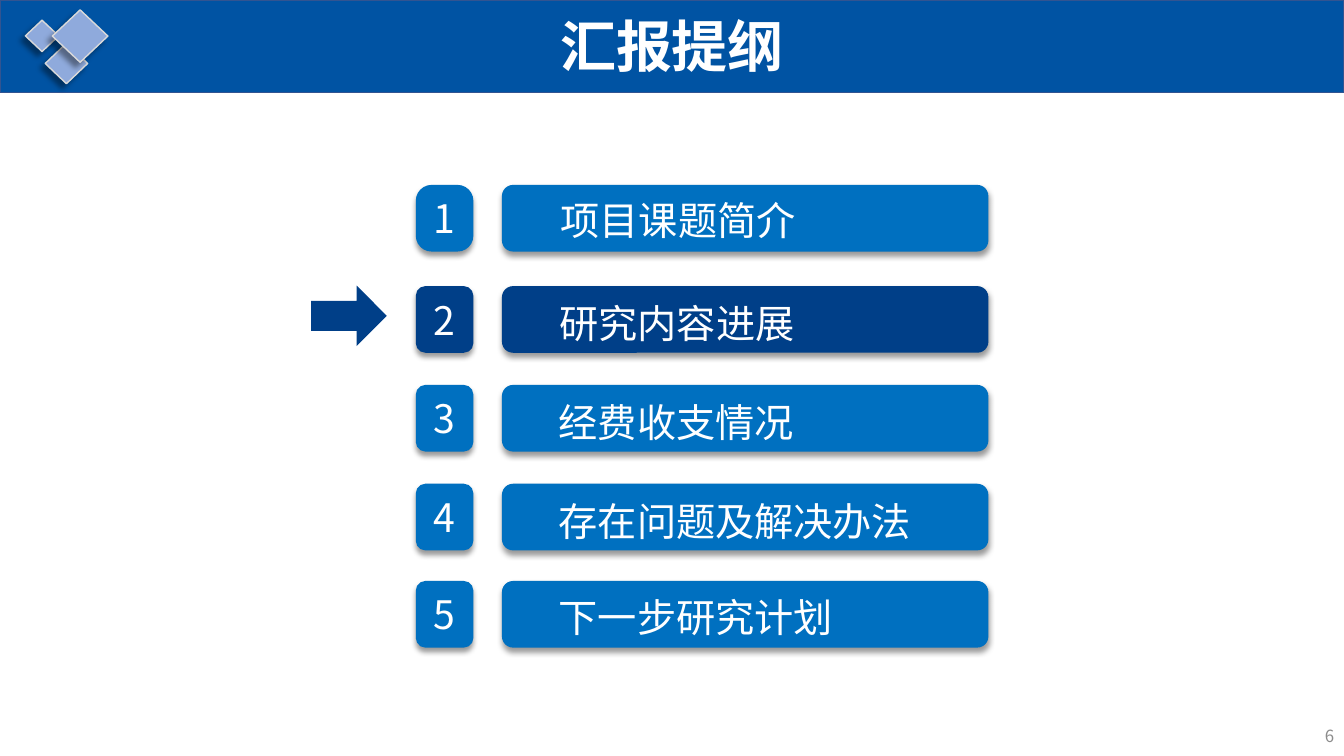
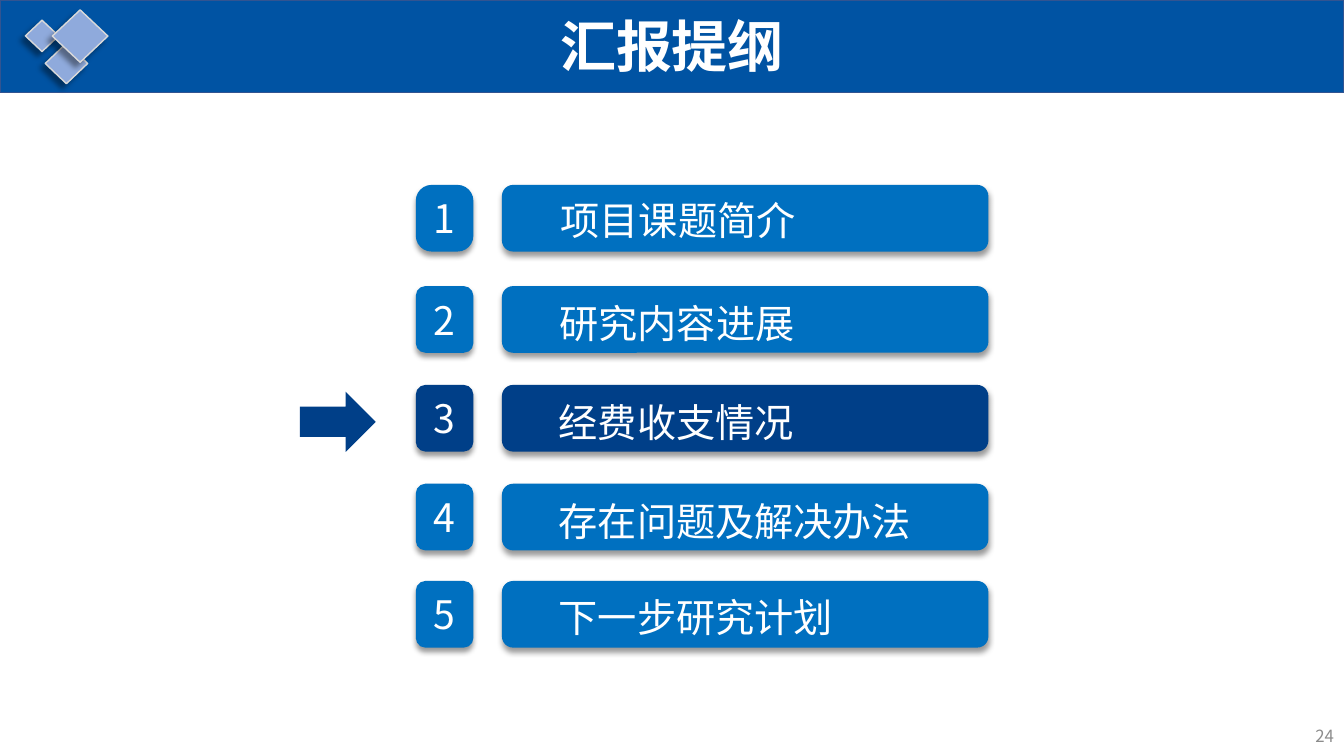
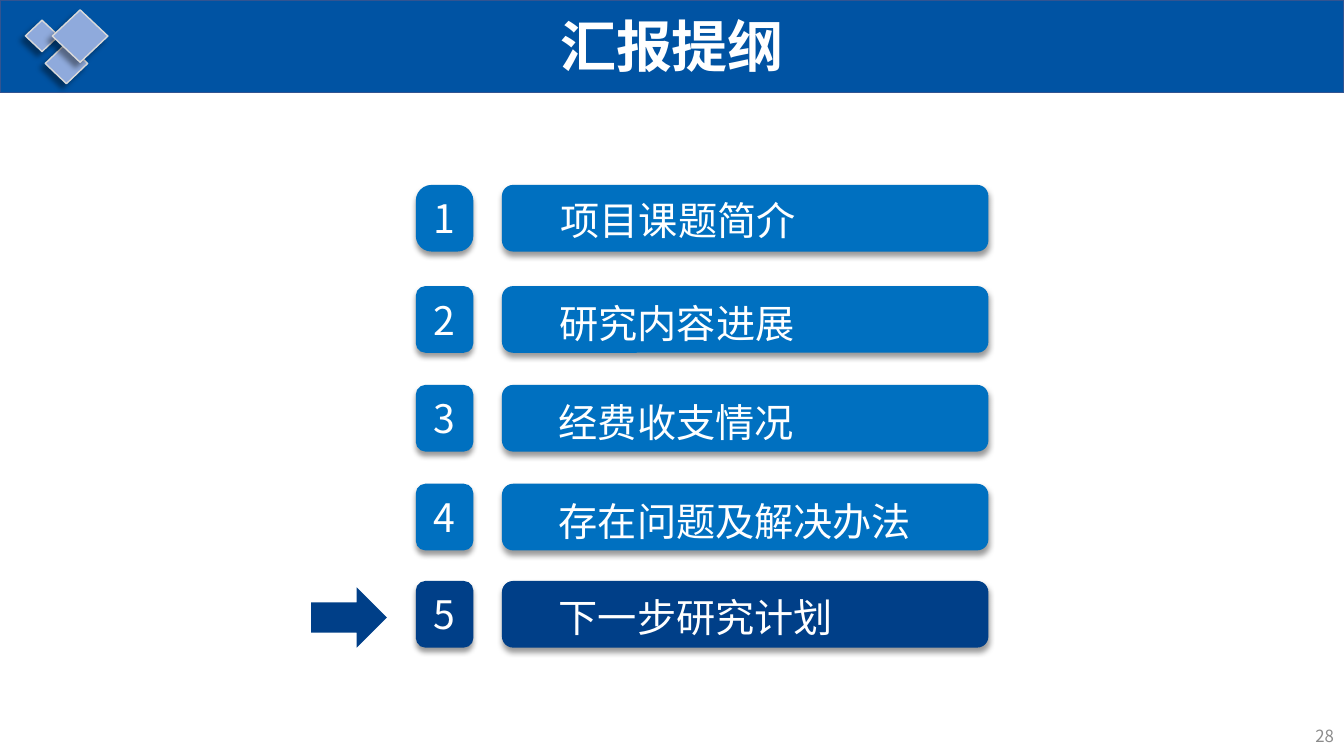
from lxml import etree
from pptx import Presentation
from pptx import util as u
from pptx.dml.color import RGBColor
from pptx.enum import shapes, text
from pptx.oxml.ns import qn

FONT = "Noto Sans CJK SC"
BLUE, DEEP, WHITE = "0070C0", "003F88", "FFFFFF"
KIND = shapes.MSO_SHAPE
ALIGN = text.PP_ALIGN


def draw(page, kind, box, fill, line=None, drop=None, turn=90):
    shape = page.shapes.add_shape(kind, *[u.Cm(n) for n in box])
    shape.fill.solid()
    shape.fill.fore_color.rgb = RGBColor.from_string(fill)
    if line:
        shape.line.color.rgb = RGBColor.from_string(line)
        shape.line.width = u.Pt(1)
    else:
        shape.line.fill.background()
    shape.shadow.inherit = False
    if drop:
        list_ = shape.element.spPr.find(qn("a:effectLst"))
        shade = etree.SubElement(
            list_, qn("a:outerShdw"), blurRad=str(u.Pt(4)), dist=str(u.Pt(drop)),
            dir=str(turn * 60000), algn="ctr", rotWithShape="0")
        tint = etree.SubElement(shade, qn("a:srgbClr"), val="000000")
        etree.SubElement(tint, qn("a:alpha"), val="40000")
    return shape


def write(shape, words, size, align, color=WHITE, bold=False):
    frame = shape.text_frame
    frame.word_wrap = True
    frame.vertical_anchor = text.MSO_ANCHOR.MIDDLE
    frame.text = words
    para = frame.paragraphs[0]
    para.alignment = align
    font = para.runs[0].font
    font.name, font.size, font.bold = FONT, u.Pt(size), bold
    font.color.rgb = RGBColor.from_string(color)
    props = para.runs[0].font._element
    etree.SubElement(props, qn("a:ea"), typeface=FONT)
    return frame


deck = Presentation()
deck.slide_width, deck.slide_height = u.Cm(33.87), u.Cm(19.05)
blank = deck.slide_layouts[6]

rows = [
    ("项目课题简介", 4.66, 1.4, 0.2),
    ("研究内容进展", 7.21, 1.37, 0.25),
    ("经费收支情况", 9.7, 1.35, 0.25),
    ("存在问题及解决办法", 12.19, 1.35, 0.25),
    ("下一步研究计划", 14.64, 1.35, 0.22),
]
gems = [(0.64, 0.51, 0.84, 0.79), (1.14, 1.09, 1.07, 1.02), (1.32, 0.25, 1.4, 1.32)]
pages = [("6", 2, 7.84, 7.2), ("24", 3, 7.56, 9.87), ("28", 5, 7.84, 14.8)]

for label, now, left, top in pages:
    slide = deck.slides.add_slide(blank)
    if label == pages[0][0]:
        parts = [draw(slide, KIND.RECTANGLE, (0, 0, 33.87, 2.34), "0053A3", "325491")]
        for gem in gems:
            parts.append(draw(slide, KIND.DIAMOND, gem, "8FAADC", "D9D9D9", 5, 135))
        for part in parts:
            blank.shapes.element.append(part.element)

    title = slide.shapes.add_textbox(0, u.Cm(-0.03), deck.slide_width, u.Cm(2.34))
    write(title, "汇报提纲", 40, ALIGN.CENTER, bold=True)

    for num, (words, high, pad, drop) in enumerate(rows, 1):
        fill = DEEP if num == now else BLUE
        badge = draw(slide, KIND.ROUNDED_RECTANGLE, (10.48, high, 1.45, 1.68), fill, drop=3)
        if num == 1:
            badge.adjustments[0] = 0.275
        write(badge, str(num), 28, ALIGN.CENTER)
        bar = draw(slide, KIND.ROUNDED_RECTANGLE, (12.65, high, 12.26, 1.68), fill, drop=3)
        frame = write(bar, words, 28, ALIGN.LEFT)
        frame.vertical_anchor = text.MSO_ANCHOR.TOP
        frame.margin_left, frame.margin_top = u.Cm(pad), u.Cm(drop)
        frame.margin_bottom = 0

    draw(slide, KIND.RIGHT_ARROW, (left, top, 1.91, 1.52), DEEP)
    foot = slide.shapes.add_textbox(u.Cm(26.25), u.Cm(18.03), u.Cm(7.62), u.Cm(1.02))
    write(foot, label, 12, ALIGN.RIGHT, "8C8C8C")

deck.save("out.pptx")
